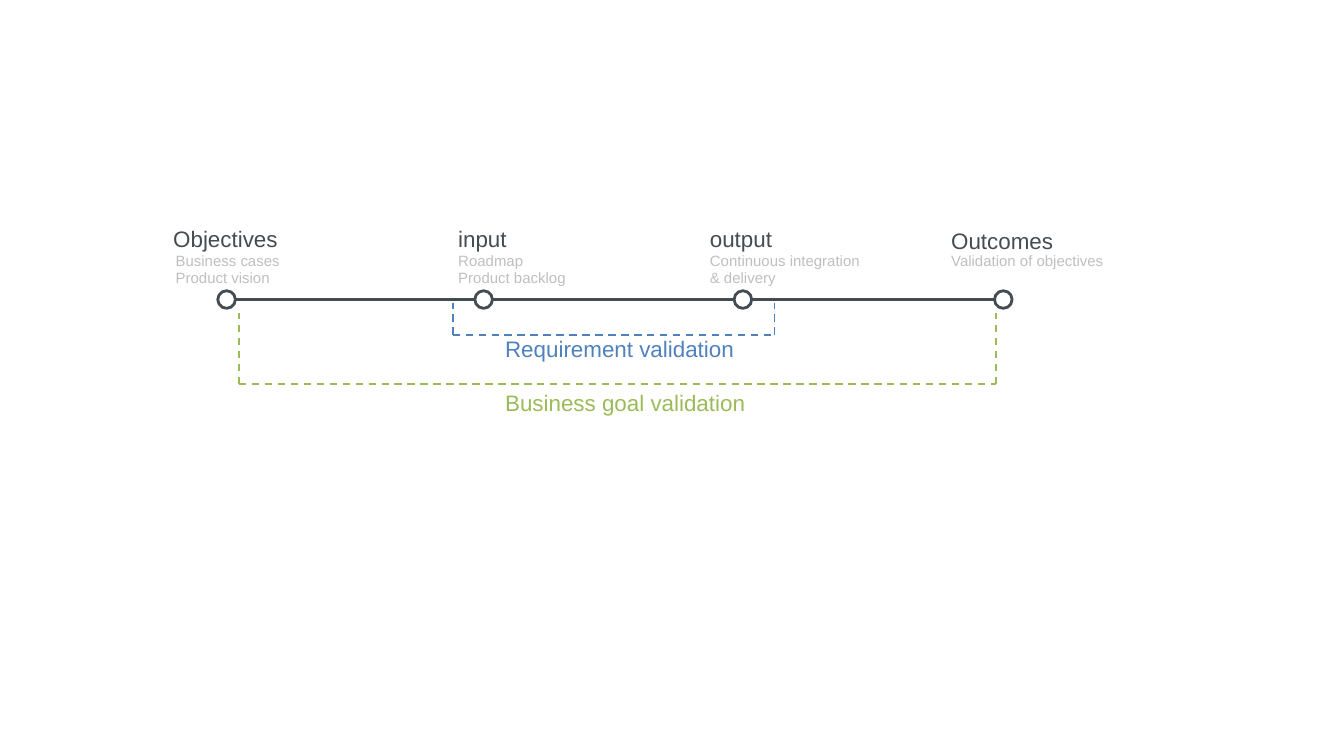
from lxml import etree
from pptx import Presentation
from pptx.dml.color import RGBColor
from pptx.enum.dml import MSO_LINE
from pptx.enum.shapes import MSO_CONNECTOR, MSO_SHAPE
from pptx.enum.text import MSO_AUTO_SIZE
from pptx.oxml.ns import qn
from pptx.util import Pt

STRAIGHT = MSO_CONNECTOR.STRAIGHT
OVAL = MSO_SHAPE.OVAL
DASH = MSO_LINE.DASH
FIT_SHAPE = MSO_AUTO_SIZE.SHAPE_TO_FIT_TEXT

DARK = RGBColor(0x43, 0x4C, 0x53)
GREY = RGBColor(0xBF, 0xBF, 0xBF)
BLUE = RGBColor(0x4F, 0x81, 0xBD)
GREEN = RGBColor(0x9B, 0xBB, 0x59)
WHITE = RGBColor(0xFF, 0xFF, 0xFF)

MILESTONES = [
    {"centre": 121.4, "title": ("Objectives", 85.7, 117.2, 71.3),
     "details": (["Business cases", "Product vision"], 87, 71.3)},
    {"centre": 259.1, "title": ("input", 238.4, 117.2, 41),
     "details": (["Roadmap", "Product backlog"], 238.4, 72.7)},
    {"centre": 398, "title": ("output", 373.2, 117.2, 48.2),
     "details": (["Continuous integration", "& delivery"], 373.2, 95)},
    {"centre": 537.5, "title": ("Outcomes", 502.5, 118.4, 69.8),
     "details": (["Validation of objectives"], 502.5, 96.5)},
]
BRACKETS = [
    {"label": "Requirement validation", "color": BLUE, "left": 242.5, "right": 414.9,
     "top": 162.3, "bottom": 179.4, "label_top": 175.9, "label_width": 138.2},
    {"label": "Business goal validation", "color": GREEN, "left": 128, "right": 533.4,
     "top": 167.8, "bottom": 205.7, "label_top": 205, "label_width": 144.7},
]
AXIS_Y = 160.5
DOT_SIZE = 9.4
DETAILS_TOP = 131
LABEL_LEFT = 263.5
TITLE_SIZE = 12
DETAIL_SIZE = 8

deck = Presentation()
deck.slide_width, deck.slide_height = Pt(720), Pt(405)
page = deck.slides.add_slide(deck.slide_layouts[6])


def add_line(start, end, color, width, dash=None):
    line = page.shapes.add_connector(STRAIGHT, *map(Pt, start + end))
    etree.SubElement(line._element.spPr, qn("a:effectLst"))
    line.line.color.rgb = color
    line.line.width = Pt(width)
    if dash:
        line.line.dash_style = dash


def add_dot(centre):
    radius = DOT_SIZE / 2
    dot = page.shapes.add_shape(OVAL, Pt(centre - radius), Pt(AXIS_Y - radius),
                                Pt(DOT_SIZE), Pt(DOT_SIZE))
    dot.shadow.inherit = False
    dot.fill.solid()
    dot.fill.fore_color.rgb = WHITE
    dot.line.color.rgb = DARK
    dot.line.width = Pt(1.5)


def add_text(lines, left, top, width, size, color):
    height = 7.2 + len(lines) * size * 1.2
    box = page.shapes.add_textbox(Pt(left), Pt(top), Pt(width), Pt(height))
    frame = box.text_frame
    frame.word_wrap = False
    frame.auto_size = FIT_SHAPE
    frame.text = "\n".join(lines)
    for para in frame.paragraphs:
        for name, value in {"name": "Arial", "size": Pt(size)}.items():
            setattr(para.font, name, value)
        para.font.color.rgb = color


centres = [milestone["centre"] for milestone in MILESTONES]
add_line((centres[0] + DOT_SIZE / 2, AXIS_Y), (centres[-1] - DOT_SIZE / 2, AXIS_Y), DARK, 1.5)

for milestone in MILESTONES:
    add_dot(milestone["centre"])
    title, left, top, width = milestone["title"]
    add_text([title], left, top, width, TITLE_SIZE, DARK)
    details, left, width = milestone["details"]
    add_text(details, left, DETAILS_TOP, width, DETAIL_SIZE, GREY)

for bracket in BRACKETS:
    left, right, top, bottom = (bracket[side] for side in ("left", "right", "top", "bottom"))
    add_line((left, bottom), (right, bottom), bracket["color"], 1, DASH)
    for side in (left, right):
        add_line((side, bottom), (side, top), bracket["color"], 1, DASH)
    add_text([bracket["label"]], LABEL_LEFT, bracket["label_top"], bracket["label_width"],
             TITLE_SIZE, bracket["color"])

deck.save("out.pptx")
